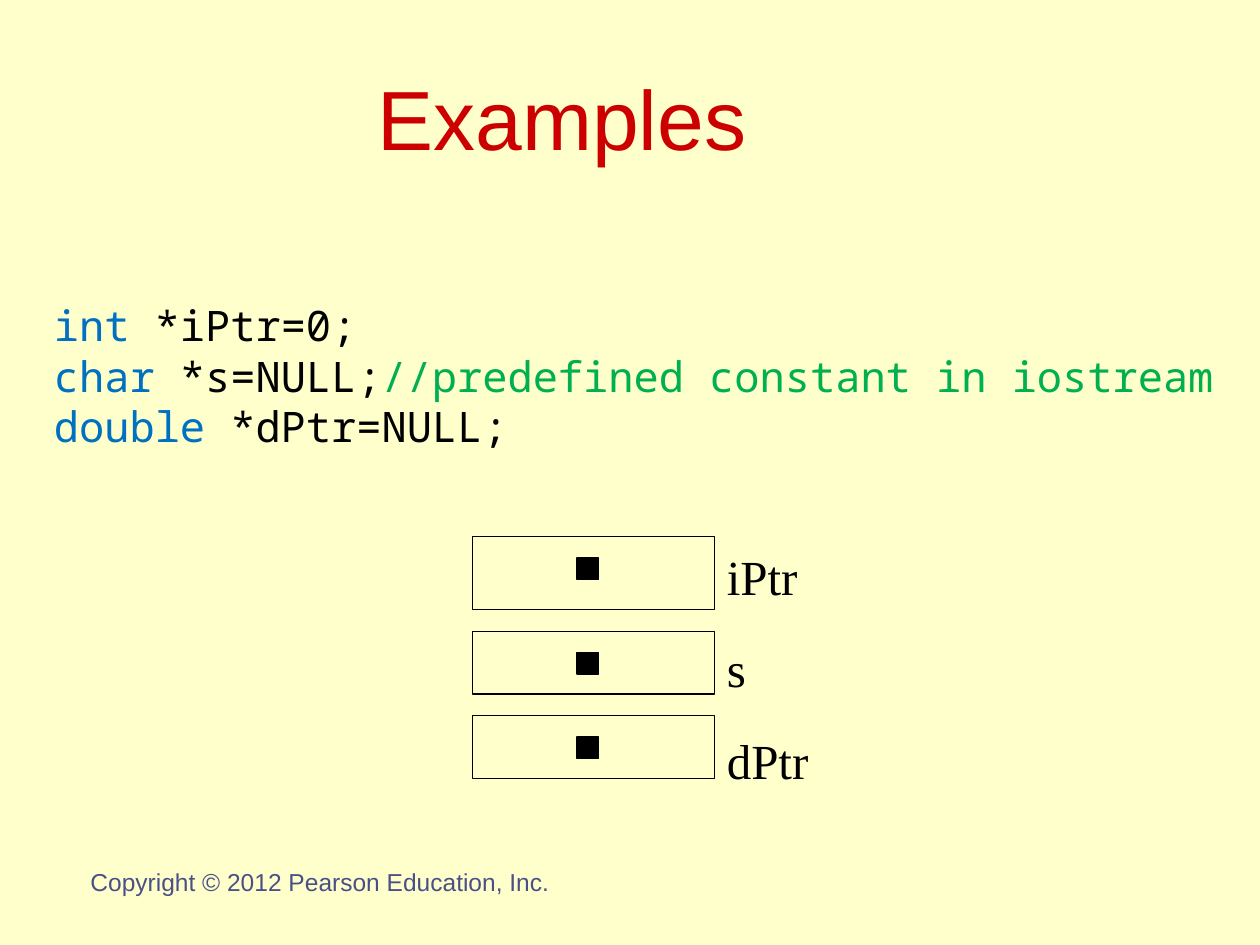
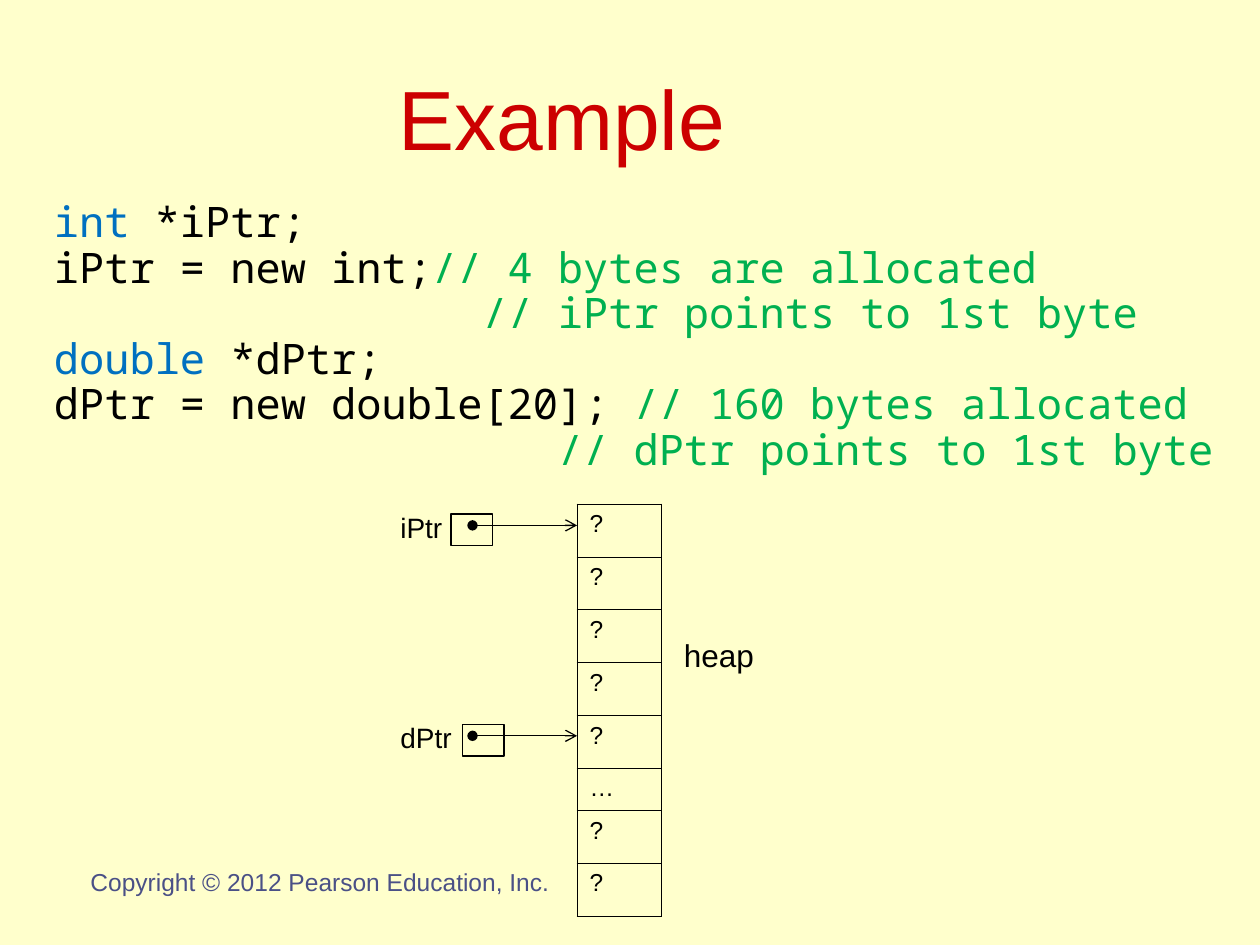
from lxml.etree import SubElement
from pptx import Presentation
from pptx.dml.color import RGBColor
from pptx.enum.shapes import MSO_CONNECTOR as Connector, MSO_SHAPE as Shape
from pptx.enum.text import MSO_ANCHOR as Anchor, PP_ALIGN as Align
from pptx.oxml.ns import qn
from pptx.util import Inches, Pt

BACKGROUND = "FFFFCC"
BLACK = "000000"
KEYWORD = "0070C0"
COMMENT = "00B050"
TITLE_ONLY = 5

TITLE_FONT = {"name": "Arial", "size": Pt(48), "color": "CC0000"}
FOOTER_FONT = {"name": "Arial", "size": Pt(14), "color": "4A5086"}
CODE_FONT = {"name": "Noto Sans Mono", "size": Pt(24), "color": BLACK}
VARIABLE_FONT = {"name": "Times New Roman", "size": Pt(28), "color": BLACK}
CELL_FONT = {"name": "Arial", "size": Pt(14), "color": BLACK}
POINTER_FONT = CELL_FONT | {"size": Pt(16)}
HEAP_FONT = CELL_FONT | {"size": Pt(18)}


def rgb(hex_color):
    return RGBColor.from_string(hex_color)


def inches(*lengths):
    return [Inches(length) for length in lengths]


def set_font(font, style):
    for name, value in style.items():
        if name == "color":
            font.color.rgb = rgb(value)
        else:
            setattr(font, name, value)


class Deck:
    """Holds the presentation, its style and the slide being built."""

    def __init__(self):
        self.presentation = Presentation()
        self.presentation.slide_width = Inches(10)
        self.presentation.slide_height = Inches(7.5)
        fill = self.presentation.slide_master.background.fill
        fill.solid()
        fill.fore_color.rgb = rgb(BACKGROUND)
        self.slide = None

    def start_slide(self, title):
        layout = self.presentation.slide_layouts[TITLE_ONLY]
        self.slide = self.presentation.slides.add_slide(layout)
        shape = self.slide.shapes.title
        shape.left, shape.top, shape.width, shape.height = inches(0.5, 0.3, 7.92, 1.25)
        frame = shape.text_frame
        frame.text = title
        frame.vertical_anchor = Anchor.MIDDLE
        frame.paragraphs[0].alignment = Align.CENTER
        set_font(frame.paragraphs[0].runs[0].font, TITLE_FONT)
        self.text([[("Copyright © 2012 Pearson Education, Inc.", {})]],
                  (0.25, 6.83, 4.58, 0.52), FOOTER_FONT, {"alignment": Align.CENTER})

    def text(self, lines, box, font, paragraph_format=None, gap=0):
        """Add lines of (text, color override) runs, with gap points between them."""
        frame = self.slide.shapes.add_textbox(*inches(*box)).text_frame
        frame.word_wrap = True
        for index, line in enumerate(lines):
            paragraph = frame.add_paragraph() if index else frame.paragraphs[0]
            for name, value in (paragraph_format or {}).items():
                setattr(paragraph, name, value)
            paragraph.space_before = Pt(gap if index else 0)
            for content, override in line:
                run = paragraph.add_run()
                run.text = content
                set_font(run.font, font | override)

    def label(self, content, box, font):
        self.text([[(content, {})]], box, font)

    def code(self, lines, box, **spacing):
        """Add code lines, each a (keyword, plain code, comment) triple."""
        colors = (KEYWORD, BLACK, COMMENT)
        runs = [[(part, {"color": color}) for part, color in zip(line, colors) if part]
                for line in lines]
        self.text(runs, box, CODE_FONT, **spacing)

    def rectangle(self, box, fill=None):
        shape = self.slide.shapes.add_shape(Shape.RECTANGLE, *inches(*box))
        shape.shadow.inherit = False
        if fill:
            shape.fill.solid()
            shape.fill.fore_color.rgb = rgb(fill)
        else:
            shape.fill.background()
        shape.line.color.rgb = rgb(BLACK)
        shape.line.width = Pt(0.75)

    def arrow(self, start, end):
        connector = self.slide.shapes.add_connector(
            Connector.STRAIGHT, *inches(*start, *end))
        connector.line.color.rgb = rgb(BLACK)
        connector.line.width = Pt(0.75)
        line = connector.line._get_or_add_ln()
        SubElement(line, qn("a:headEnd"), type="oval")
        SubElement(line, qn("a:tailEnd"), type="arrow")
        SubElement(connector._element.spPr, qn("a:effectLst"))

    def column_table(self, values, heights, left, top, width):
        frame = self.slide.shapes.add_table(
            len(values), 1, *inches(left, top, width, sum(heights)))
        table = frame.table
        table.first_row = table.horz_banding = False
        table.columns[0].width = Inches(width)
        for row, value, height in zip(table.rows, values, heights):
            row.height = Inches(height)
            cell = row.cells[0]
            cell.text = value
            set_font(cell.text_frame.paragraphs[0].runs[0].font, CELL_FONT)
            self.cell_borders(cell)
            cell.fill.background()

    def cell_borders(self, cell):
        properties = cell._tc.get_or_add_tcPr()
        for side in ("lnL", "lnR", "lnT", "lnB"):
            line = SubElement(properties, qn(f"a:{side}"), w=str(Pt(0.45)))
            fill = SubElement(line, qn("a:solidFill"))
            SubElement(fill, qn("a:srgbClr"), val=BLACK)


def null_pointers(deck):
    deck.start_slide("Examples")
    deck.code([("int ", "*iPtr=0;", ""),
               ("char ", "*s=NULL;", "//predefined constant in iostream"),
               ("double ", "*dPtr=NULL;", "")],
              (0.33, 2.33, 9.67, 1.5))
    for top, height in ((4.26, 0.58), (5.01, 0.5), (5.68, 0.5)):
        deck.rectangle((3.75, top, 1.92, height))
        deck.rectangle((4.58, top + 0.17, 0.17, 0.17), BLACK)
    deck.text([[(name, {})] for name in ("iPtr", "s", "dPtr")],
              (5.67, 4.29, 1.08, 1.99), VARIABLE_FONT, gap=19)


def heap_allocation(deck):
    deck.start_slide("Example")
    deck.code([("int ", "*iPtr;", ""),
               ("", "iPtr = new int;", "// 4 bytes are allocated"),
               ("", "                 ", "// iPtr points to 1st byte"),
               ("double", " *dPtr;", ""),
               ("", "dPtr = new double[20]; ", "// 160 bytes allocated"),
               ("", "                    ", "// dPtr points to 1st byte")],
              (0.33, 1.58, 9.67, 4.25),
              paragraph_format={"line_spacing": 0.8}, gap=3)
    cells = ["?"] * 5 + ["…"] + ["?"] * 2
    heights = [0.33 if cell == "…" else 0.42 for cell in cells]
    deck.column_table(cells, heights, 4.58, 4, 0.67)
    deck.label("heap", (5.33, 5, 1.33, 0.4), HEAP_FONT)
    for name, top, label_width, box_left in (("iPtr", 4, 0.58, 3.58),
                                             ("dPtr", 5.67, 0.67, 3.67)):
        deck.label(name, (3.08, top, label_width, 0.37), POINTER_FONT)
        deck.rectangle((box_left, top + 0.08, 0.33, 0.25))
        deck.arrow((3.75, top + 0.17), (4.58, top + 0.17))


def main():
    deck = Deck()
    null_pointers(deck)
    heap_allocation(deck)
    deck.presentation.save("out.pptx")


if __name__ == "__main__":
    main()
